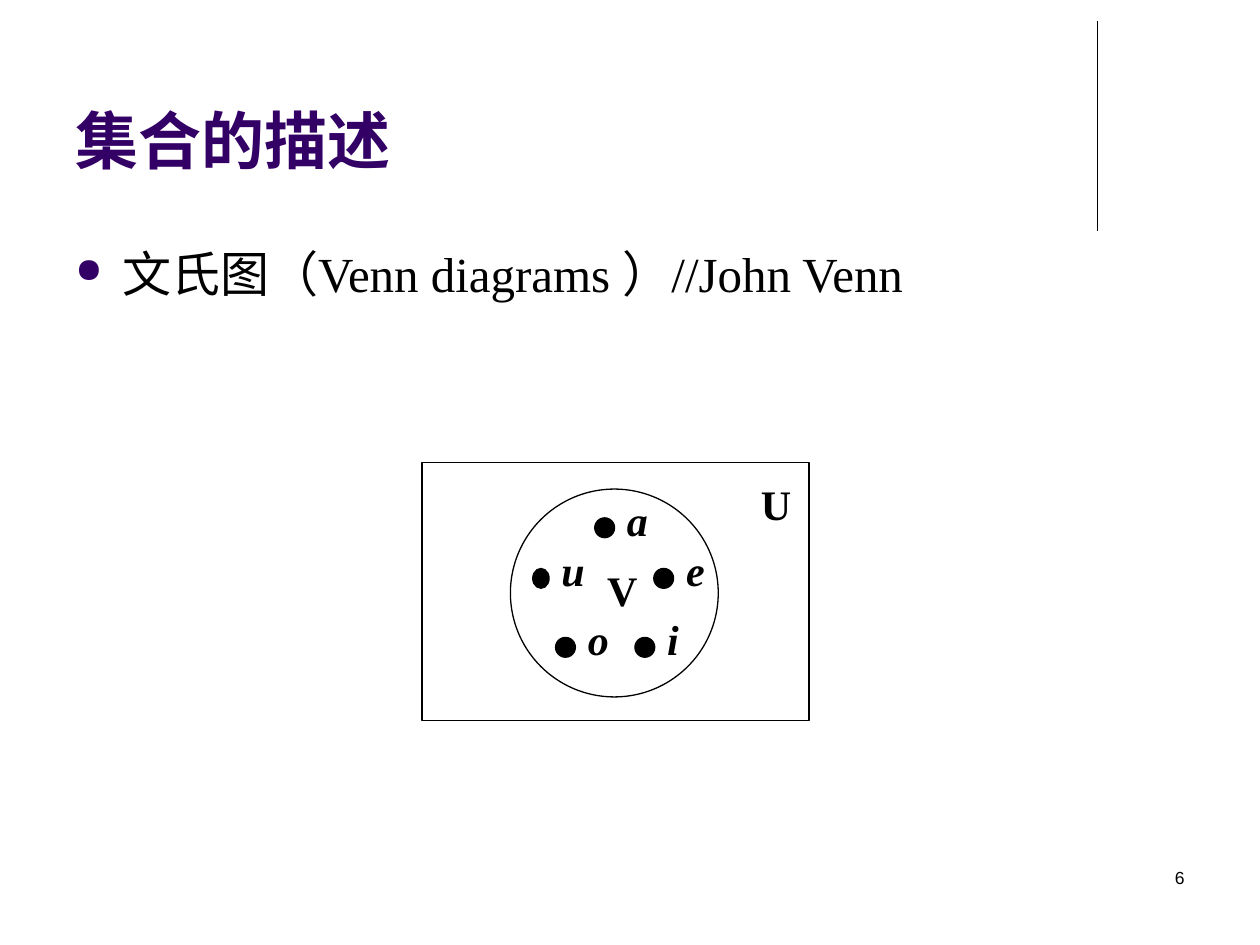
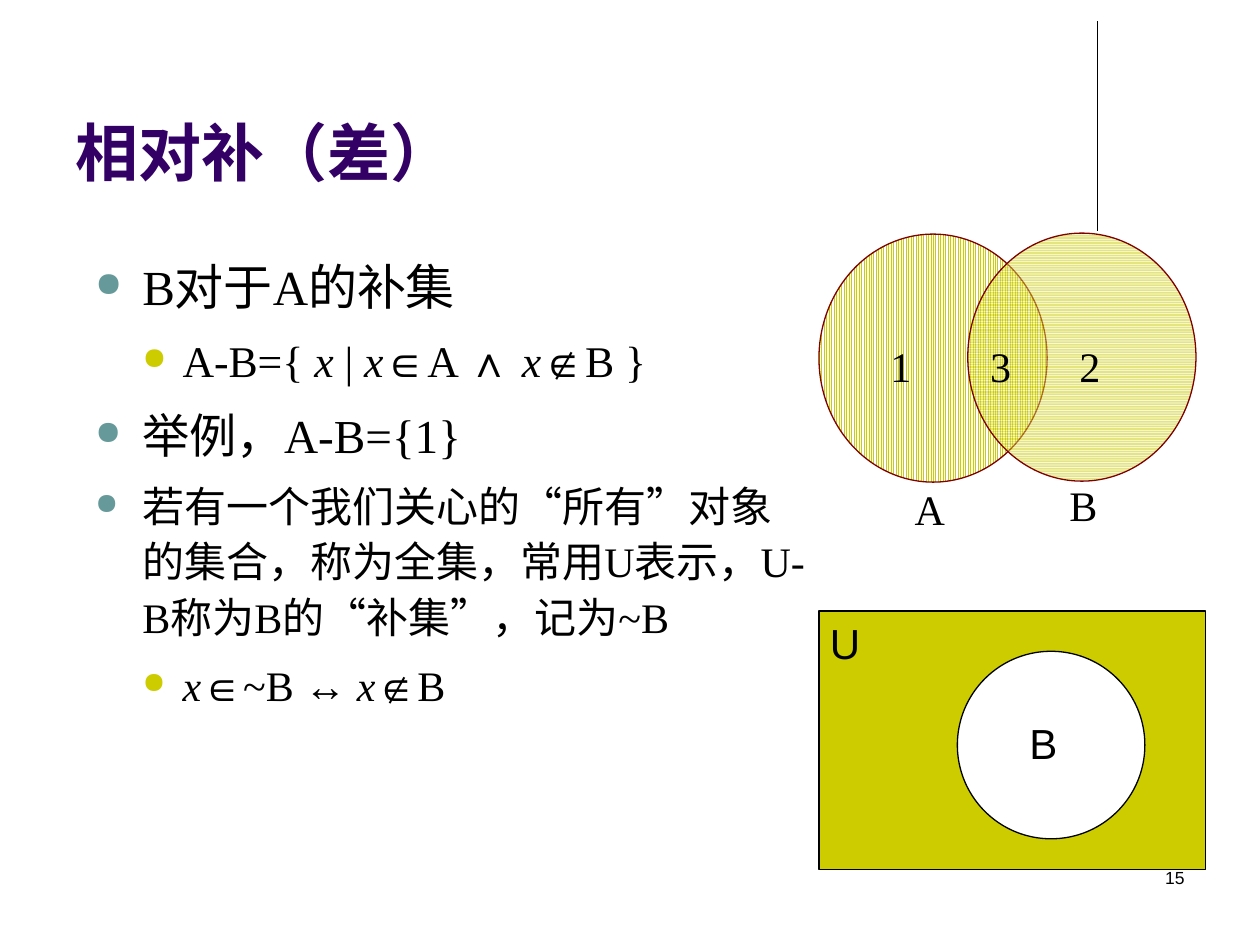
"""Build two slides on sets: a Venn diagram and the relative complement."""
from lxml.etree import SubElement
from pptx import Presentation
from pptx.dml.color import RGBColor
from pptx.enum.dml import MSO_PATTERN
from pptx.enum.shapes import MSO_CONNECTOR, MSO_SHAPE
from pptx.enum.text import MSO_ANCHOR, PP_ALIGN
from pptx.oxml.ns import qn
from pptx.util import Cm, Pt

COLORS = {
    "title": "330066",
    "ink": "000000",
    "paper": "FFFFFF",
    "teal": "669999",
    "olive": "CCCC00",
    "maroon": "800000",
}
SERIF, SANS = "Times New Roman", "Arial"


def add_text(shapes, place, text, size=24, font=SERIF, color="ink", bold=False, italic=False):
    box = shapes.add_textbox(*map(Cm, place))
    box.text_frame.word_wrap = True
    para = box.text_frame.paragraphs[0]
    para.text = text
    para.font.size, para.font.name = Pt(size), font
    para.font.bold, para.font.italic = bold, italic
    para.font.color.rgb = RGBColor.from_string(COLORS[color])
    return box


def add_outlined(shapes, kind, place, fill="paper", line="ink", pattern=None):
    shape = shapes.add_shape(kind, *map(Cm, place))
    shape.shadow.inherit = False
    if pattern:
        shape.fill.patterned()
        shape.fill.pattern = pattern
        shape.fill.back_color.rgb = RGBColor.from_string(COLORS["paper"])
    else:
        shape.fill.solid()
    shape.fill.fore_color.rgb = RGBColor.from_string(COLORS[fill])
    shape.line.color.rgb = RGBColor.from_string(COLORS[line])
    shape.line.width = Pt(0.75)
    return shape


BULLETS = {
    "top": ("title", 0.95, 0.95, 0.2, 1),
    "main": ("teal", 1.93, 0.95, 0.3, 1.1),
    "sub": ("olive", 2.74, 0.81, 0.3, 1.1),
}
CONTENT = [
    {
        "title": "集合的描述",
        "title_place": (1.27, 1.3, 20.35, 2.39),
        "body_place": (1.27, 4.78, 23.44, 4.55),
        "body": [("top", 28, "文氏图（Venn diagrams ）//John Venn")],
        "number": "6",
    },
    {
        "title": "相对补（差）",
        "title_place": (1.27, 0.33, 20.96, 3.61),
        "body_place": (0.69, 4.93, 15.8, 12.9),
        "body": [
            ("main", 28, "B对于A的补集"),
            ("sub", 25, "A-B={ *x *| *x*∈A ∧ *x*∉B }"),
            ("main", 27, "举例，A-B={1}"),
            ("main", 24, "若有一个我们关心的“所有”对象的集合，称为全集，常用U表示，U-B称为B的“补集”，记为~B"),
            ("sub", 24, "*x*∈~B ↔ *x*∉B"),
        ],
        "number": "15",
    },
]

deck = Presentation()
deck.slide_width, deck.slide_height = Cm(25.4), Cm(19.05)
pages = []

for content in CONTENT:
    page = deck.slides.add_slide(deck.slide_layouts[6])
    pages.append(page)

    rule = page.shapes.add_connector(MSO_CONNECTOR.STRAIGHT, Cm(22.12), Cm(0.43), Cm(22.12), Cm(4.65))
    rule.line.color.rgb = RGBColor.from_string(COLORS["ink"])
    rule.line.width = Pt(0.75)
    SubElement(rule.line._get_or_add_ln().getparent(), qn("a:effectLst"))

    title = add_text(page.shapes, content["title_place"], content["title"], 36, SANS, "title", bold=True)
    title.text_frame.vertical_anchor = MSO_ANCHOR.BOTTOM

    body = page.shapes.add_textbox(*map(Cm, content["body_place"]))
    body.text_frame.word_wrap = True
    for index, (level, size, text) in enumerate(content["body"]):
        color, margin, hanging, gap, spacing = BULLETS[level]
        para = body.text_frame.paragraphs[0] if index == 0 else body.text_frame.add_paragraph()
        para.font.size, para.font.name = Pt(size), SERIF
        para.font.color.rgb = RGBColor.from_string(COLORS["ink"])
        para.line_spacing = spacing
        para.space_before = Pt(round(gap * size, 1)) if index else Pt(0)
        for position, piece in enumerate(text.split("*")):
            if piece:
                span = para.add_run()
                span.text = piece
                span.font.italic = position % 2 == 1

        properties = para._p.get_or_add_pPr()
        properties.set("marL", str(Cm(margin)))
        properties.set("indent", str(-Cm(hanging)))
        bullet_color = SubElement(properties, qn("a:buClr"))
        SubElement(bullet_color, qn("a:srgbClr"), val=COLORS[color])
        SubElement(properties, qn("a:buSzPct"), val="70000")
        SubElement(properties, qn("a:buChar"), char="●")
        properties.append(properties.find(qn("a:defRPr")))

    number = add_text(page.shapes, (18.21, 17.35, 5.92, 1.27), content["number"], 10, SANS)
    number.text_frame.paragraphs[0].alignment = PP_ALIGN.RIGHT

venn_page, complement_page = pages

venn = venn_page.shapes.add_group_shape().shapes
add_outlined(venn, MSO_SHAPE.RECTANGLE, (8.51, 9.32, 7.8, 5.21))
add_outlined(venn, MSO_SHAPE.OVAL, (10.29, 9.86, 4.19, 4.19))
add_text(venn, (15.09, 9.53, 0.81, 1.27), "U", bold=True)
add_text(venn, (11.99, 11.25, 1.4, 1.27), "V", bold=True)
for vowel, left, top, width in [
    ("a", 11.99, 10.44, 0.4),
    ("e", 13.18, 11.46, 0.4),
    ("i", 12.8, 12.85, 0.4),
    ("o", 11.2, 12.85, 0.4),
    ("u", 10.74, 11.46, 0.33),
]:
    add_outlined(venn, MSO_SHAPE.OVAL, (left, top, width, 0.4), "ink")
    add_text(venn, (left + width, top - 0.6, 1, 1.27), vowel, bold=True, italic=True)

shapes = complement_page.shapes
add_outlined(shapes, MSO_SHAPE.OVAL, (16.51, 4.72, 4.6, 5), "olive", "maroon", MSO_PATTERN.LIGHT_VERTICAL)
set_b = add_outlined(shapes, MSO_SHAPE.OVAL, (19.51, 4.7, 4.6, 5), "olive", "maroon", MSO_PATTERN.LIGHT_HORIZONTAL)
for pattern_color in set_b._element.spPr.find(qn("a:pattFill")).iter(qn("a:srgbClr")):
    SubElement(pattern_color, qn("a:alpha"), val="50000")
for label, left, top in [
    ("A", 18.19, 9.63),
    ("B", 21.31, 9.55),
    ("1", 17.7, 6.73),
    ("2", 21.51, 6.73),
    ("3", 19.71, 6.73),
]:
    add_text(shapes, (left, top, 1.6, 1.27), label)

add_outlined(shapes, MSO_SHAPE.RECTANGLE, (16.51, 12.32, 7.8, 5.21), "olive")
add_outlined(shapes, MSO_SHAPE.OVAL, (19.3, 13.13, 3.78, 3.78))
add_text(shapes, (16.48, 12.32, 0.81, 1.27), "U", font=SANS)
add_text(shapes, (20.5, 14.33, 1.4, 1.27), "B", font=SANS)

deck.save("out.pptx")
